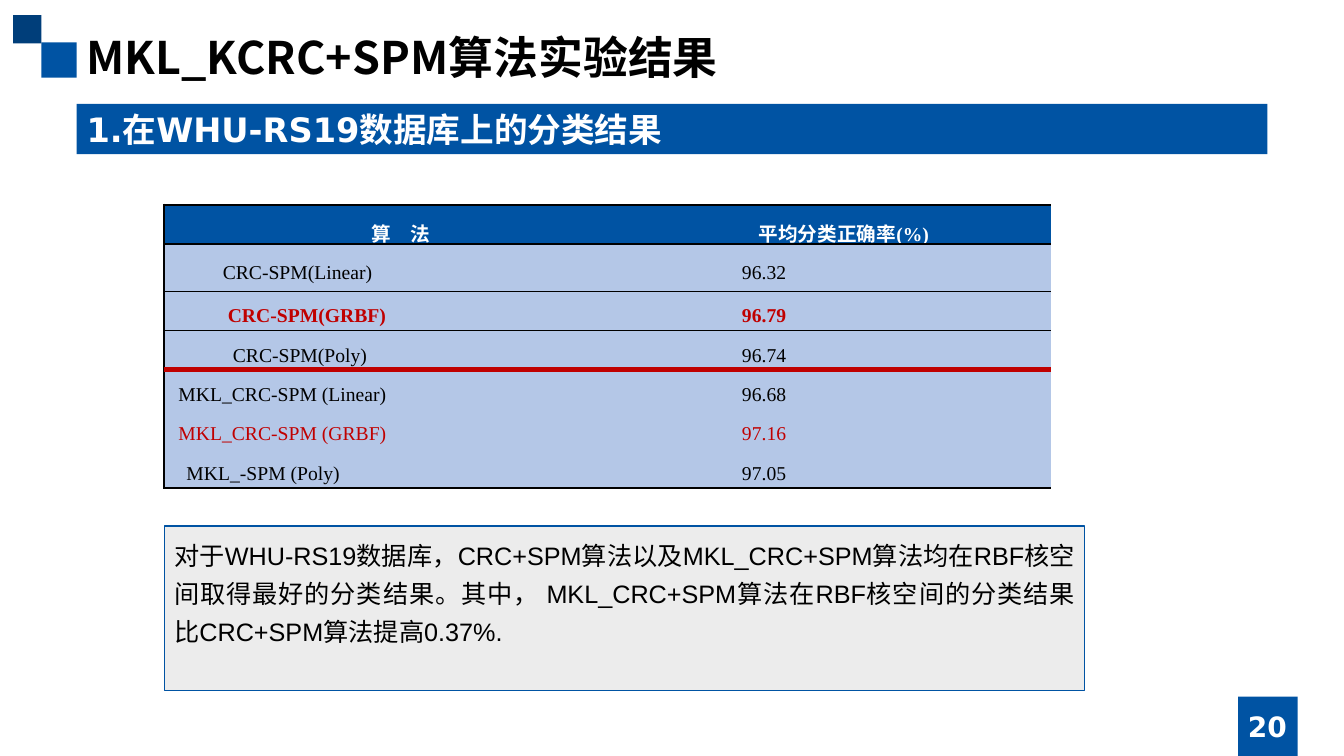
import pptx
import pptx.dml.color
import pptx.enum.shapes
import pptx.enum.text
import pptx.oxml
import pptx.oxml.ns
import pptx.util
from pptx.util import Inches

COLORS = {"blue": "0053A3", "navy": "003E7A", "pale": "B4C7E7", "gray": "ECECEC",
          "red": "C00000", "black": "000000", "white": "FFFFFF"}
CJK_FONT = "Noto Sans CJK SC"
NO_TABLE_STYLE = "{2D5ABB26-0587-4C30-8999-92F81FD0307C}"
ALIGN = pptx.enum.text.PP_ALIGN
ANCHOR = pptx.enum.text.MSO_ANCHOR

# Algorithm, first-line indent in inches, accuracy, colour, bold
RESULTS = [
    ("CRC-SPM(Linear)", 0.51, "96.32", "black", False),
    ("CRC-SPM(GRBF)", 0.56, "96.79", "red", True),
    ("CRC-SPM(Poly)", 0.61, "96.74", "black", False),
    ("MKL_CRC-SPM (Linear)", 0.07, "96.68", "black", False),
    ("MKL_CRC-SPM (GRBF)", 0.07, "97.16", "red", False),
    ("MKL_-SPM (Poly)", 0.15, "97.05", "black", False),
]
VALUE_INDENT = 0.46
RULED_ROWS = {0: 1.5, 1: 1, 6: 1.5}  # row: width of the line below it


def rgb(name):
    return pptx.dml.color.RGBColor.from_string(COLORS[name])


def write(frame, text, size=14, font="Times New Roman", color="black", bold=False,
          align=ALIGN.LEFT, anchor=ANCHOR.TOP, spacing=1.0, indent=0):
    frame.word_wrap = True
    frame.vertical_anchor = anchor
    paragraph = frame.paragraphs[0]
    paragraph.alignment = align
    paragraph.line_spacing = spacing
    if indent:
        paragraph._p.get_or_add_pPr().set("indent", str(Inches(indent)))
    run = paragraph.add_run()
    run.text = text
    run.font.size = pptx.util.Pt(size)
    run.font.name = font
    run.font.bold = bold
    run.font.color.rgb = rgb(color)
    east_asian = pptx.oxml.ns.qn("a:ea")
    run.font._element.find(pptx.oxml.ns.qn("a:latin")).addnext(
        run.font._element.makeelement(east_asian, {"typeface": CJK_FONT}))


def add_box(slide, left, top, width, height, fill, line=None):
    shape = slide.shapes.add_shape(
        pptx.enum.shapes.MSO_SHAPE.RECTANGLE,
        Inches(left), Inches(top), Inches(width), Inches(height))
    shape.shadow.inherit = False
    shape.fill.solid()
    shape.fill.fore_color.rgb = rgb(fill)
    if line:
        shape.line.color.rgb = rgb(line)
        shape.line.width = pptx.util.Pt(1)
    else:
        shape.line.fill.background()
    return shape


def add_text(slide, left, top, width, height, text, **text_format):
    box = slide.shapes.add_textbox(
        Inches(left), Inches(top), Inches(width), Inches(height))
    write(box.text_frame, text, **text_format)


def add_title(slide, text):
    title = slide.shapes.title
    title.left, title.top = Inches(0.76), Inches(0.24)
    title.width, title.height = Inches(11.81), Inches(0.64)
    title.text_frame.auto_size = pptx.enum.text.MSO_AUTO_SIZE.NONE
    write(title.text_frame, text, size=32, font=CJK_FONT, bold=True)


def add_line(slide, left, top, right, bottom, color, width):
    line = slide.shapes.add_connector(
        pptx.enum.shapes.MSO_CONNECTOR.STRAIGHT,
        Inches(left), Inches(top), Inches(right), Inches(bottom))
    line.line.color.rgb = rgb(color)
    line.line.width = pptx.util.Pt(width)
    properties = line._element.spPr
    properties.append(properties.makeelement(pptx.oxml.ns.qn("a:effectLst"), {}))


def set_borders(cell, borders):
    """Draw black borders; sides come in the order L, T, B."""
    properties = cell._tc.get_or_add_tcPr()
    for position, (side, width) in enumerate(borders.items()):
        properties.insert(position, pptx.oxml.parse_xml(
            f'<a:ln{side} {pptx.oxml.ns.nsdecls("a")} w="{pptx.util.Pt(width)}">'
            f'<a:solidFill><a:srgbClr val="{COLORS["black"]}"/></a:solidFill></a:ln{side}>'))


def style_cell(cell, row, column):
    cell.margin_left = cell.margin_right = Inches(0.07)
    cell.margin_top = cell.margin_bottom = 0
    cell.vertical_anchor = ANCHOR.MIDDLE
    cell.fill.solid()
    cell.fill.fore_color.rgb = rgb("pale" if row else "blue")
    borders = {}
    if column == 0:
        borders["L"] = 1.5
    if row == 0:
        borders["T"] = 1.5
    elif row - 1 in RULED_ROWS:
        borders["T"] = RULED_ROWS[row - 1]
    if row in RULED_ROWS:
        borders["B"] = RULED_ROWS[row]
    set_borders(cell, borders)


def add_results_table(slide):
    widths = [4.69, 0.51, 3.59]
    heights = [0.39, 0.47] + [0.39] * 5
    frame = slide.shapes.add_table(
        len(heights), len(widths), Inches(1.63), Inches(2.03),
        Inches(sum(widths)), Inches(sum(heights)))
    frame._element.find(".//" + pptx.oxml.ns.qn("a:tableStyleId")).text = NO_TABLE_STYLE
    table = frame.table
    for column, width in zip(table.columns, widths):
        column.width = Inches(width)
    for row, height in zip(table.rows, heights):
        row.height = Inches(height)
    for row in range(len(heights)):
        for column in range(len(widths)):
            style_cell(table.cell(row, column), row, column)

    # Header: the second heading covers the two right columns
    table.cell(0, 1).merge(table.cell(0, 2))
    for column, heading in enumerate(["算　法", "平均分类正确率(%)"]):
        write(table.cell(0, column).text_frame, heading, color="white", bold=True,
              align=ALIGN.CENTER, anchor=ANCHOR.MIDDLE, spacing=1.5)

    # Results: each algorithm name covers the two left columns
    for row, (name, indent, value, color, bold) in enumerate(RESULTS, start=1):
        table.cell(row, 0).merge(table.cell(row, 1))
        for column, text, offset in [(0, name, indent), (2, value, VALUE_INDENT)]:
            write(table.cell(row, column).text_frame, text, color=color, bold=bold,
                  align=ALIGN.JUSTIFY, anchor=ANCHOR.MIDDLE, spacing=1.5, indent=offset)


def main():
    presentation = pptx.Presentation()
    presentation.slide_width = Inches(13.33)
    presentation.slide_height = Inches(7.5)
    slide = presentation.slides.add_slide(presentation.slide_layouts[5])

    # Corner squares, title and page number
    add_box(slide, 0.41, 0.42, 0.35, 0.35, "blue")
    add_box(slide, 0.13, 0.15, 0.28, 0.28, "navy")
    add_title(slide, "MKL_KCRC+SPM算法实验结果")
    add_box(slide, 12.28, 6.91, 0.59, 0.59, "blue")
    add_text(slide, 11.81, 7.01, 1.52, 0.4, "20", size=20, font="DejaVu Sans",
             color="white", bold=True, align=ALIGN.CENTER, anchor=ANCHOR.MIDDLE)

    # Section banner
    banner = add_box(slide, 0.76, 1.03, 11.81, 0.5, "blue")
    write(banner.text_frame, "1.在WHU-RS19数据库上的分类结果", size=24,
          font="DejaVu Sans", color="white", bold=True)

    # Table, with a red line between the two groups of algorithms
    add_results_table(slide)
    add_line(slide, 1.63, 3.67, 10.42, 3.67, "red", 3.5)

    # Conclusion
    add_box(slide, 1.63, 5.22, 9.13, 1.63, "gray", line="blue")
    add_text(slide, 1.63, 5.24, 9.13, 1.24,
             "对于WHU-RS19数据库，CRC+SPM算法以及MKL_CRC+SPM算法均在RBF核空间取得最好的分类结果。"
             "其中， MKL_CRC+SPM算法在RBF核空间的分类结果比CRC+SPM算法提高0.37%.",
             size=18, font="Arial", align=ALIGN.JUSTIFY, spacing=1.25)

    presentation.save("out.pptx")


if __name__ == "__main__":
    main()
